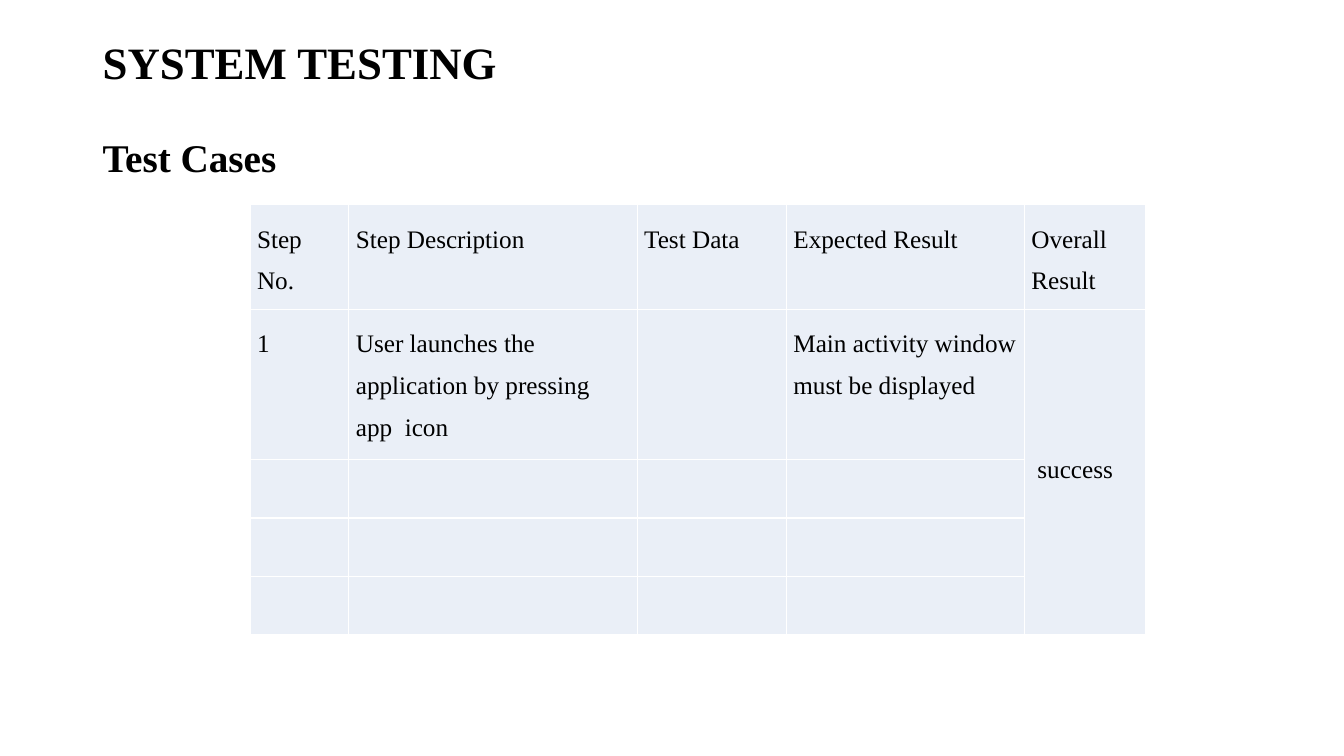
import pptx
import pptx.dml.color
import pptx.oxml.ns
import pptx.util
from lxml import etree

FONT = "Times New Roman"
INK, TINT, RULE = "000000", "EAEFF7", "FFFFFF"
PAD = 0.07
COLS = [0.98, 2.86, 1.48, 2.36, 1.2]
ROWS = [1.01, 1.43, 0.58, 0.58, 0.58]
CASES = [
    ["Step No.", "Step Description", "Test Data", "Expected Result",
     "Overall Result"],
    ["1", "User launches the application by pressing app  icon", "",
     "Main activity window must be displayed", "success"],
    [""] * 5,
    [""] * 5,
    [""] * 5,
]
inch = pptx.util.Inches


def color(code):
    return pptx.dml.color.RGBColor.from_string(code)


def style(para, size, bold=False, lead=1.0):
    para.line_spacing = lead
    for font in [para.font] + [run.font for run in para.runs]:
        font.name = FONT
        font.size = pptx.util.Pt(size)
        font.bold = bold
        font.color.rgb = color(INK)


def border(cell):
    """Rule all four sides of a cell with a thin line."""
    props = cell._tc.get_or_add_tcPr()
    for side in ("lnL", "lnR", "lnT", "lnB"):
        line = etree.SubElement(props, pptx.oxml.ns.qn("a:" + side), w="12700")
        fill = etree.SubElement(line, pptx.oxml.ns.qn("a:solidFill"))
        etree.SubElement(fill, pptx.oxml.ns.qn("a:srgbClr"), val=RULE)


def heading(slide, left, top, width, height):
    box = slide.shapes.add_textbox(inch(left), inch(top), inch(width),
                                   inch(height))
    frame = box.text_frame
    frame.word_wrap = True
    frame.margin_top = frame.margin_bottom = 0
    frame.text = "SYSTEM TESTING\nTest Cases"
    title, topic = frame.paragraphs
    style(title, 32, bold=True)
    style(topic, 28, bold=True)
    topic.space_before = pptx.util.Pt(32)


def cases(slide, left, top):
    frame = slide.shapes.add_table(len(ROWS), len(COLS), inch(left), inch(top),
                                   inch(sum(COLS)), inch(sum(ROWS)))
    table = frame.table
    table.first_row = table.horz_banding = False
    for col, width in zip(table.columns, COLS):
        col.width = inch(width)
    for row, height, texts in zip(table.rows, ROWS, CASES):
        row.height = inch(height)
        for cell, text in zip(row.cells, texts):
            cell.margin_left = cell.margin_right = inch(PAD)
            cell.margin_top = cell.margin_bottom = inch(PAD)
            border(cell)
            cell.fill.solid()
            cell.fill.fore_color.rgb = color(TINT)
            cell.text = text
            style(cell.text_frame.paragraphs[0], 18, lead=1.5 if text else 1.0)
    result = table.cell(1, 4)
    result.merge(table.cell(4, 4))
    result.margin_top = inch(PAD + 1.25)
    result.margin_left = inch(PAD + 0.06)


def main():
    deck = pptx.Presentation()
    deck.slide_width, deck.slide_height = inch(13.33), inch(7.5)
    slide = deck.slides.add_slide(deck.slide_layouts[6])
    heading(slide, 0.92, 0.34, 11.5, 1.4)
    cases(slide, 2.48, 2.03)
    deck.save("out.pptx")


if __name__ == "__main__":
    main()
